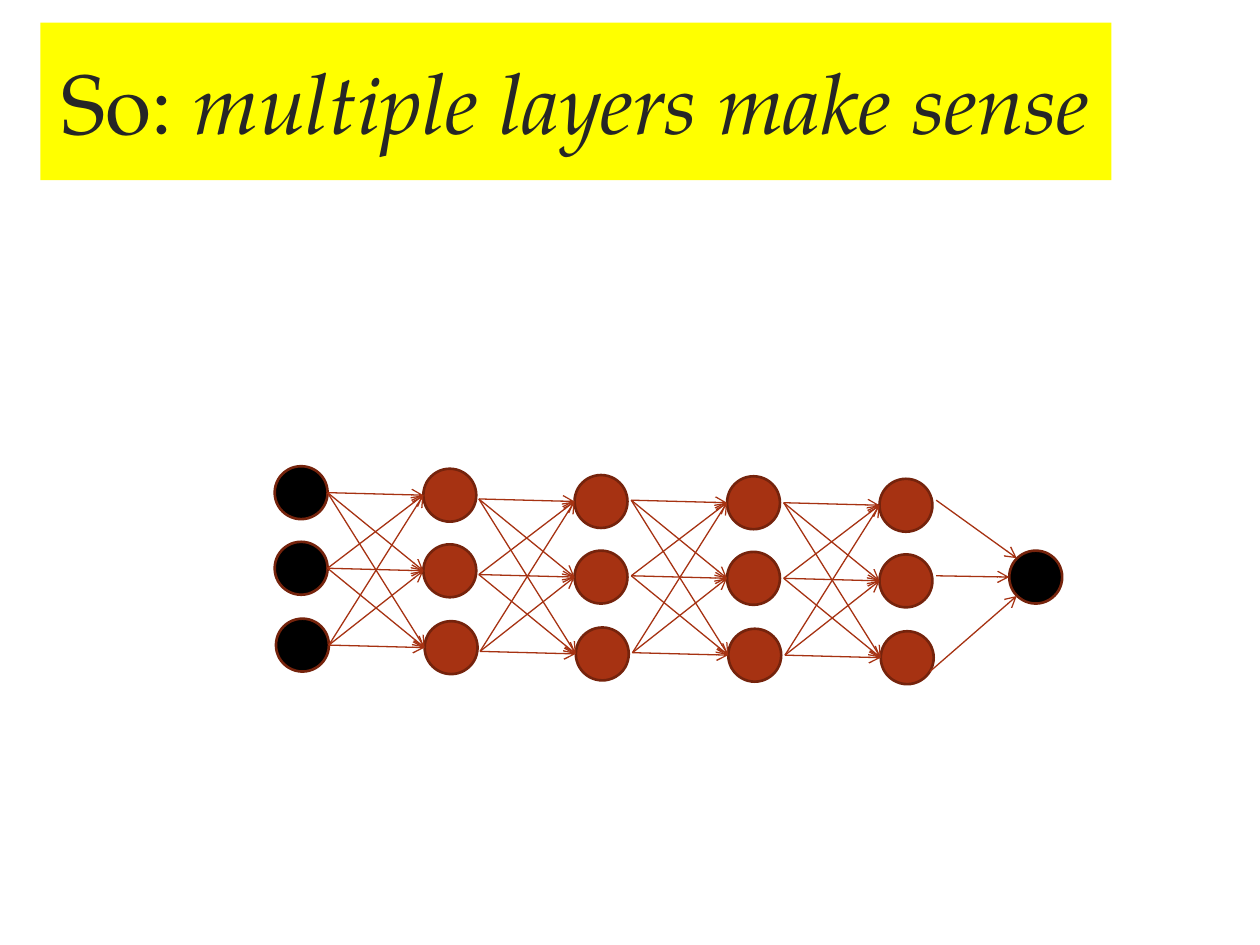
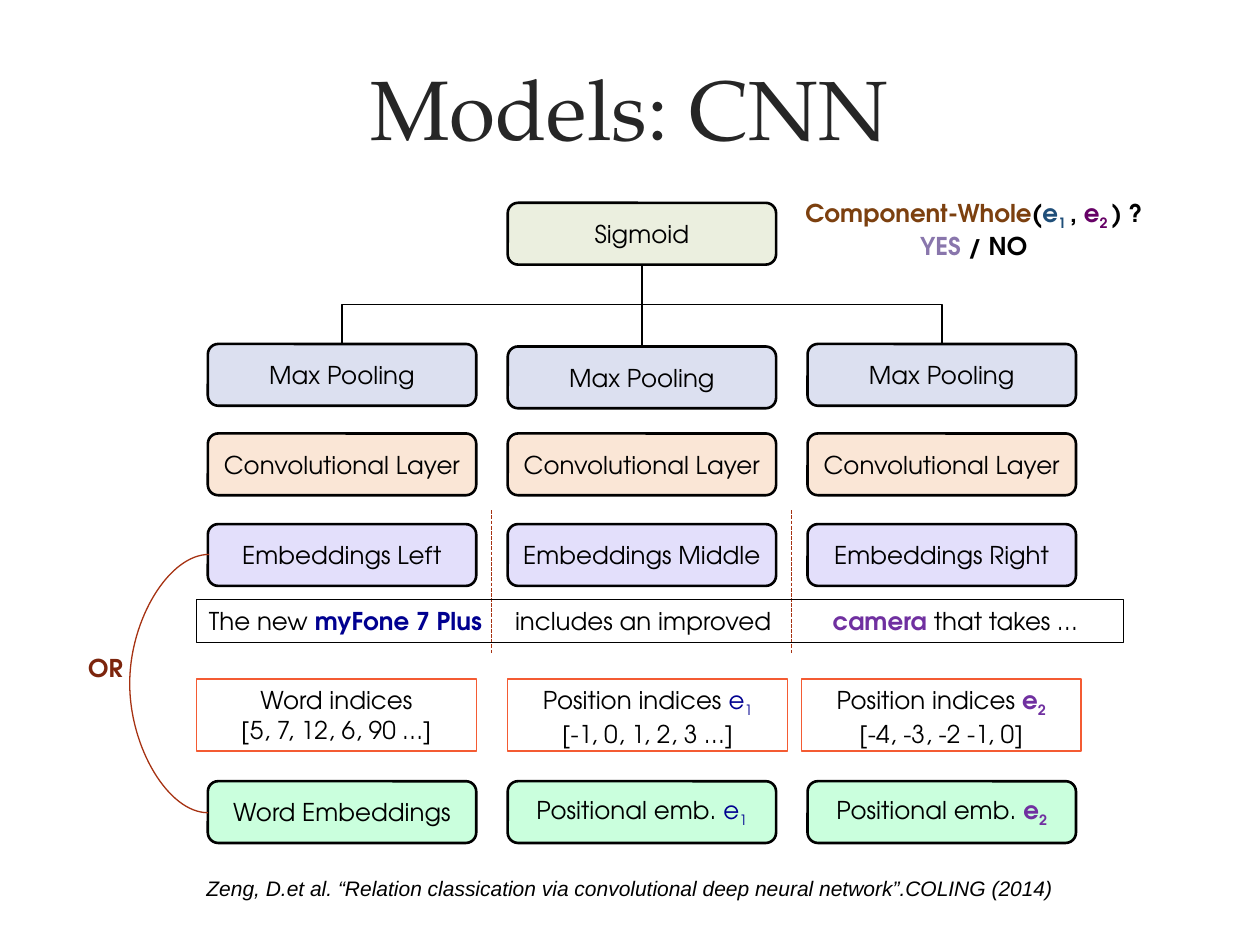
from dataclasses import dataclass

from lxml.etree import SubElement
from pptx import Presentation
from pptx.dml.color import RGBColor
from pptx.enum.dml import MSO_LINE
from pptx.enum.shapes import MSO_CONNECTOR as Link, MSO_SHAPE as Form
from pptx.enum.text import MSO_ANCHOR as Anchor, MSO_AUTO_SIZE as Fit, PP_ALIGN as Align
from pptx.oxml.ns import qn
from pptx.util import Inches, Pt


@dataclass(frozen=True)
class Theme:
    title_font: str = "TeX Gyre Pagella"
    body_font: str = "TeX Gyre Adventor"
    cite_font: str = "Arial"
    title_size: int = 48
    body_size: int = 14
    cite_size: int = 12
    thin: float = 0.75
    thick: float = 1.5
    black: str = "000000"
    title: str = "262626"
    highlight: str = "FFFF00"
    rust: str = "A63212"
    dark_rust: str = "75230C"
    either: str = "7C250D"
    orange: str = "F45B33"
    embedding: str = "E3DFFB"
    convolution: str = "FAE6D6"
    pooling: str = "DCE0F0"
    sigmoid: str = "EBEFDF"
    vector: str = "CAFFDD"
    navy: str = "000090"
    purple: str = "7030A0"
    relation: str = "7C400F"
    first_entity: str = "1F4E79"
    second_entity: str = "660066"
    answer: str = "8976AC"


THEME = Theme()


@dataclass(frozen=True)
class Span:
    text: str
    color: str = THEME.black
    bold: bool = False
    italic: bool = False
    subscript: bool = False


ENTITY_1 = [Span("e", THEME.navy), Span("1", THEME.navy, subscript=True)]
ENTITY_2 = [Span("e", THEME.purple, True), Span("2", THEME.purple, True, subscript=True)]

NODE = 0.42
ROW_OFFSETS = [(0, 0), (0, 0.6), (0.01, 1.21)]
LAYERS = [(2.18, 3.7), (3.36, 3.72), (4.56, 3.77), (5.77, 3.78), (6.98, 3.8)]

BLOCK_WIDTH, BLOCK_HEIGHT = 2.13, 0.49
COLUMNS = [1.65 + 2.38 * column for column in range(3)]
CENTERS = [left + BLOCK_WIDTH / 2 for left in COLUMNS]


def rgb(color):
    return RGBColor.from_string(color)


def write(frame, paragraphs, font=THEME.body_font, size=THEME.body_size,
          align=Align.CENTER, anchor=Anchor.TOP, wrap=True):
    frame.word_wrap = wrap
    frame.auto_size = Fit.NONE
    frame.vertical_anchor = anchor
    for index, spans in enumerate(paragraphs):
        para = frame.paragraphs[0] if index == 0 else frame.add_paragraph()
        para.alignment = align
        for span in spans:
            run = para.add_run()
            run.text = span.text
            run.font.name = font
            run.font.size = Pt(size)
            run.font.bold = span.bold
            run.font.italic = span.italic
            run.font.color.rgb = rgb(span.color)
            if span.subscript:
                run._r.get_or_add_rPr().set("baseline", "-25000")


def add_page(deck, spans, left, top, width, height):
    page = deck.slides.add_slide(deck.slide_layouts[5])
    title = page.shapes.title
    title.left, title.top = Inches(left), Inches(top)
    title.width, title.height = Inches(width), Inches(height)
    write(title.text_frame, [spans], THEME.title_font, THEME.title_size,
          anchor=Anchor.MIDDLE)
    return page


def add_form(page, form, left, top, width, height, fill, line, weight):
    shape = page.shapes.add_shape(
        form, Inches(left), Inches(top), Inches(width), Inches(height))
    shape.shadow.inherit = False
    if fill:
        shape.fill.solid()
        shape.fill.fore_color.rgb = rgb(fill)
    else:
        shape.fill.background()
    shape.line.color.rgb = rgb(line)
    shape.line.width = Pt(weight)
    return shape


def add_node(page, left, top, fill):
    add_form(page, Form.OVAL, left, top, NODE, NODE, fill, THEME.dark_rust, THEME.thick)


def add_block(page, left, top, fill, spans):
    block = add_form(page, Form.ROUNDED_RECTANGLE, left, top, BLOCK_WIDTH, BLOCK_HEIGHT,
                     fill, THEME.black, THEME.thick)
    write(block.text_frame, [spans], anchor=Anchor.MIDDLE)


def add_frame(page, left, top, width, height, line, paragraphs, align=Align.CENTER):
    frame = add_form(page, Form.RECTANGLE, left, top, width, height, None, line, THEME.thin)
    write(frame.text_frame, paragraphs, align=align)
    return frame


def add_text(page, left, top, width, height, paragraphs, **style):
    box = page.shapes.add_textbox(Inches(left), Inches(top), Inches(width), Inches(height))
    write(box.text_frame, paragraphs, **style)


def add_link(page, start, end, color=THEME.rust, kind=Link.STRAIGHT):
    link = page.shapes.add_connector(kind, *map(Inches, start + end))
    link.line.color.rgb = rgb(color)
    link.line.width = Pt(THEME.thin)
    SubElement(link._element.spPr, qn("a:effectLst"))
    return link


def add_arrow(page, start, end):
    arrow = add_link(page, start, end)
    SubElement(arrow.line._get_or_add_ln(), qn("a:tailEnd"), type="arrow")


def add_upright_elbow(page, start, end):
    middle_x, middle_y = (start[0] + end[0]) / 2, (start[1] + end[1]) / 2
    side = 1 if start[0] < end[0] else -1
    reach_x = side * (start[1] - end[1]) / 2
    reach_y = abs(end[0] - start[0]) / 2
    elbow = add_link(page, (middle_x + reach_x, middle_y + reach_y),
                     (middle_x - reach_x, middle_y - reach_y), THEME.black, Link.ELBOW)
    turn = 90 if side > 0 else 270
    elbow._element.spPr.find(qn("a:xfrm")).set("rot", str(turn * 60000))


def add_side_curve(page, start, end, bulge):
    curve = add_link(page, start, end, kind=Link.CURVE)
    ratio = bulge / (start[0] - end[0])
    geometry = curve._element.spPr.find(qn("a:prstGeom"))
    guides = geometry.find(qn("a:avLst"))
    if guides is None:
        guides = SubElement(geometry, qn("a:avLst"))
    SubElement(guides, qn("a:gd"), name="adj1", fmla=f"val {round(ratio * 100000)}")


def add_tab_stops(para, stops):
    tabs = SubElement(para._p.get_or_add_pPr(), qn("a:tabLst"))
    for stop in stops:
        SubElement(tabs, qn("a:tab"), pos=str(Inches(stop)), algn="l")


def build_layers_page(deck):
    page = add_page(deck, [Span("So: ", THEME.title),
                           Span("multiple layers make sense ", THEME.title, italic=True)],
                    0.32, 0.18, 8.5, 1.25)
    page.shapes.title.fill.solid()
    page.shapes.title.fill.fore_color.rgb = rgb(THEME.highlight)

    for index, (left, top) in enumerate(LAYERS):
        for shift, drop in ROW_OFFSETS:
            add_node(page, left + shift, top + drop, THEME.rust if index else THEME.black)
    for left, top in LAYERS[1:]:
        for start_shift, start_drop in ROW_OFFSETS:
            for end_shift, end_drop in ROW_OFFSETS:
                add_arrow(page, (left - 0.76 + start_shift, top + 0.19 + start_drop),
                          (left + end_shift, top + NODE / 2 + end_drop))

    add_node(page, 8.01, 4.37, THEME.black)
    for start, end in [((7.43, 3.97), (8.07, 4.43)),
                       ((7.43, 4.57), (8.01, 4.58)),
                       ((7.38, 5.33), (8.07, 4.73))]:
        add_arrow(page, start, end)


def build_cnn_page(deck):
    page = add_page(deck, [Span("Models: CNN", THEME.title)], 0.6, 0.2, 8.79, 1.3)

    pooling_tops = [2.73, 2.75, 2.73]
    for left, pooling_top, part in zip(COLUMNS, pooling_tops, ["Left", "Middle", "Right"]):
        add_block(page, left, 4.16, THEME.embedding, [Span(f"Embeddings {part}")])
        add_block(page, left, 3.44, THEME.convolution, [Span("Convolutional Layer")])
        add_block(page, left, pooling_top, THEME.pooling, [Span("Max Pooling")])
    add_block(page, COLUMNS[1], 1.61, THEME.sigmoid, [Span("Sigmoid")])

    sigmoid_foot = (CENTERS[1], 2.1)
    for side in (0, 2):
        add_upright_elbow(page, (CENTERS[side], pooling_tops[side]), sigmoid_foot)
    add_link(page, (CENTERS[1], pooling_tops[1]), sigmoid_foot, THEME.black)

    indices = [
        (1.56, [Span("Word indices")], "[5, 7, 12, 6, 90 …]"),
        (4.03, [Span("Position indices "), *ENTITY_1], "[-1, 0, 1, 2, 3 …]"),
        (6.36, [Span("Position indices "), *ENTITY_2], "[-4, -3, -2 -1, 0]"),
    ]
    for left, heading, values in indices:
        add_frame(page, left, 5.39, 2.22, 0.57, THEME.orange, [heading, [Span(values)]])

    for x in (3.9, 6.28):
        divider = add_link(page, (x, 4.05), (x, 5.19))
        divider.line.dash_style = MSO_LINE.SQUARE_DOT

    vectors = [[Span("Word Embeddings")],
               [Span("Positional emb. "), *ENTITY_1],
               [Span("Positional emb. "), *ENTITY_2]]
    for left, spans in zip(COLUMNS, vectors):
        add_block(page, left, 6.2, THEME.vector, spans)

    add_side_curve(page, (1.66, 4.4), (1.65, 6.45), 0.64)
    add_text(page, 0.6, 5.13, 0.95, 0.39, [[Span("OR", THEME.either, True)]],
             align=Align.LEFT, wrap=False)

    question = [Span("Component-Whole", THEME.relation, True), Span("(", bold=True),
                Span("e", THEME.first_entity, True),
                Span("1 ", THEME.first_entity, True, subscript=True),
                Span(", ", bold=True),
                Span("e", THEME.second_entity, True),
                Span("2 ", THEME.second_entity, True, subscript=True),
                Span(") ? ", bold=True)]
    answers = [Span("YES", THEME.answer, True), Span(" / NO", bold=True)]
    add_text(page, 6.28, 1.52, 2.9, 0.81, [question, answers])

    sentence = add_frame(page, 1.56, 4.76, 7.36, 0.34, THEME.black, [[
        Span("The new "), Span("myFone 7 Plus", THEME.navy, True),
        Span("\tincludes an improved"),
        Span("\tcamera ", THEME.purple, True), Span("that takes …")]], Align.LEFT)
    add_tab_stops(sentence.text_frame.paragraphs[0], [2.43, 4.95])

    add_text(page, 1.54, 6.9, 6.93, 0.3,
             [[Span("Zeng, D.et al. “Relation classication via convolutional deep neural "
                    "network”.COLING (2014)", italic=True)]],
             font=THEME.cite_font, size=THEME.cite_size, align=Align.LEFT)


def main():
    deck = Presentation()
    deck.slide_width, deck.slide_height = Inches(10), Inches(7.5)
    build_layers_page(deck)
    build_cnn_page(deck)
    deck.save("out.pptx")


if __name__ == "__main__":
    main()
